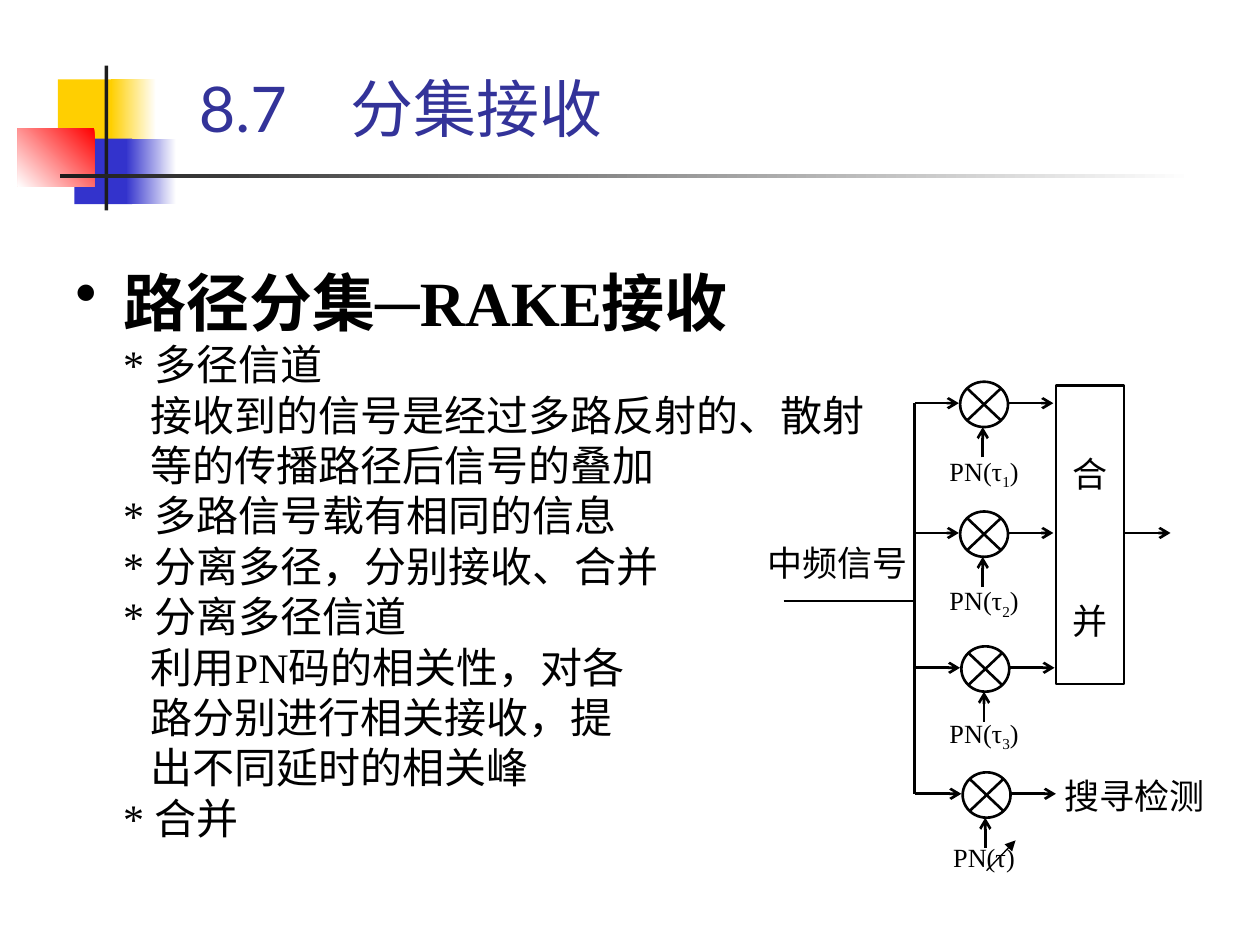
from dataclasses import dataclass

from lxml.etree import SubElement
from pptx import Presentation
from pptx.dml.color import RGBColor
from pptx.enum.shapes import MSO_CONNECTOR, MSO_SHAPE
from pptx.enum.text import MSO_ANCHOR, PP_ALIGN
from pptx.oxml.ns import qn
from pptx.util import Inches, Pt

RECTANGLE = MSO_SHAPE.RECTANGLE
MIXER = MSO_SHAPE.FLOWCHART_SUMMING_JUNCTION
STRAIGHT = MSO_CONNECTOR.STRAIGHT
TOP, BOTTOM = MSO_ANCHOR.TOP, MSO_ANCHOR.BOTTOM
LEFT, CENTER, JUSTIFY = PP_ALIGN.LEFT, PP_ALIGN.CENTER, PP_ALIGN.JUSTIFY


@dataclass(frozen=True)
class Theme:
    black: str = "000000"
    white: str = "FFFFFF"
    charcoal: str = "1C1C1C"
    yellow: str = "FFCF01"
    blue: str = "3333CC"
    red: str = "FF0000"
    title_ink: str = "333399"
    serif: str = "Times New Roman"
    sans: str = "Lato"
    dash: str = "Arial"
    chinese: str = "Noto Sans CJK SC"
    heading: float = 36
    body: float = 24
    label: float = 20
    code: float = 15
    heading_pitch: float = 46
    body_pitch: float = 28.8
    label_pitch: float = 24
    stroke: float = 1.5
    thin: float = 0.75


THEME = Theme()


def write(paragraph, text, font=THEME.serif, size=THEME.body, color=THEME.black,
          bold=False, baseline=0, east_asian=THEME.chinese):
    run = paragraph.add_run()
    run.text = text
    run.font.size = Pt(size)
    run.font.bold = bold
    run.font.color.rgb = RGBColor.from_string(color)
    run.font.name = font
    properties = run.font._element
    SubElement(properties, qn("a:ea"), typeface=east_asian)
    if baseline:
        properties.set("baseline", str(baseline * 1000))


def prepare(frame, insets=(0, 0, 0, 0), anchor=TOP):
    frame.word_wrap = True
    frame.vertical_anchor = anchor
    frame.margin_left, frame.margin_top, frame.margin_right, frame.margin_bottom = map(Inches, insets)
    return frame


def text_area(slide, box, **layout):
    return prepare(slide.shapes.add_textbox(*map(Inches, box)).text_frame, **layout)


def format_paragraph(paragraph, align=LEFT, pitch=None, before=0):
    paragraph.alignment = align
    paragraph.space_before = Pt(before)
    if pitch:
        paragraph.line_spacing = Pt(pitch)
    return paragraph


def indent(paragraph, margin, first=0):
    properties = paragraph._p.get_or_add_pPr()
    properties.set("marL", str(Inches(margin)))
    properties.set("indent", str(Inches(first)))
    return properties


def block(slide, box, color, fade=None, angle=180):
    shape = slide.shapes.add_shape(RECTANGLE, *map(Inches, box))
    shape.shadow.inherit = False
    shape.line.fill.background()
    if fade:
        shape.fill.gradient()
        shape.fill.gradient_angle = angle
        for stop, tone in zip(shape.fill.gradient_stops, (color, fade)):
            stop.color.rgb = RGBColor.from_string(tone)
    else:
        shape.fill.solid()
        shape.fill.fore_color.rgb = RGBColor.from_string(color)


def outline(slide, kind, box):
    shape = slide.shapes.add_shape(kind, *map(Inches, box))
    shape.shadow.inherit = False
    shape.fill.background()
    shape.line.color.rgb = RGBColor.from_string(THEME.black)
    shape.line.width = Pt(THEME.stroke)
    return shape


def wire(slide, start, end, arrow=None, width=THEME.stroke):
    connector = slide.shapes.add_connector(STRAIGHT, *map(Inches, (*start, *end)))
    connector.line.color.rgb = RGBColor.from_string(THEME.black)
    connector.line.width = Pt(width)
    if arrow:
        SubElement(connector.line._get_or_add_ln(), qn("a:tailEnd"), type=arrow)
    SubElement(connector._element.spPr, qn("a:effectLst"))


def draw_ornament(slide, left, top):
    def place(x, y, width, height, *colors, **options):
        block(slide, (left + x, top + y, width, height), *colors, **options)

    place(0.32, 0.11, 0.48, 0.52, THEME.yellow)
    place(0.74, 0.11, 0.36, 0.52, THEME.white, THEME.yellow)
    place(0.45, 0.58, 0.46, 0.52, THEME.blue)
    place(0.86, 0.58, 0.4, 0.52, THEME.white, THEME.blue)
    place(0, 0.5, 0.61, 0.46, THEME.red, THEME.white, angle=225)
    place(0.69, 0, 0.03, 1.15, THEME.charcoal)
    place(0.34, 0.86, 9, 0.03, THEME.white, THEME.charcoal)


def draw_title(slide, box):
    frame = text_area(slide, box, insets=(0.1, 0.05, 0.1, 0), anchor=BOTTOM)
    title = format_paragraph(frame.paragraphs[0], pitch=THEME.heading_pitch)
    tabs = SubElement(title._p.get_or_add_pPr(), qn("a:tabLst"))
    SubElement(tabs, qn("a:tab"), pos=str(Inches(1.2)), algn="l")
    write(title, "8.7\t分集接收", font=THEME.sans, size=THEME.heading, color=THEME.title_ink)


def draw_outline(slide, box):
    frame = text_area(slide, box, insets=(0.1, 0.05, 0.1, 0.05))
    heading = format_paragraph(frame.paragraphs[0], pitch=THEME.heading_pitch)
    properties = indent(heading, 0.38, -0.38)
    SubElement(SubElement(properties, qn("a:buClr")), qn("a:srgbClr"), val=THEME.black)
    SubElement(properties, qn("a:buChar"), char="•")
    for text, font, east_asian in (("路径分集", THEME.chinese, THEME.chinese),
                                   ("─", THEME.dash, THEME.dash),
                                   ("RAKE接收", THEME.serif, THEME.chinese)):
        write(heading, text, font=font, east_asian=east_asian, size=THEME.heading, bold=True)

    points = (
        ("多径信道", "接收到的信号是经过多路反射的、散射", "等的传播路径后信号的叠加"),
        ("多路信号载有相同的信息",),
        ("分离多径，分别接收、合并",),
        ("分离多径信道", "利用PN码的相关性，对各", "路分别进行相关接收，提", "出不同延时的相关峰"),
        ("合并",),
    )
    for point, *details in points:
        for text, margin in ((f"* {point}", 0.38), *((detail, 0.6) for detail in details)):
            paragraph = format_paragraph(frame.add_paragraph(), pitch=THEME.body_pitch)
            indent(paragraph, margin)
            write(paragraph, text)


def draw_label(slide, box, text, align):
    paragraph = format_paragraph(text_area(slide, box).paragraphs[0], align, THEME.label_pitch)
    write(paragraph, text, size=THEME.label)


def draw_branch(slide, bus, left, top, delay, label_top):
    center, level = left + 0.18, top + 0.17
    outline(slide, MIXER, (left, top, 0.38, 0.36))
    wire(slide, (bus, level), (left - 0.01, level), "arrow")
    wire(slide, (center, top + 0.6), (center, top + 0.36), "arrow")
    wire(slide, (left + 0.38, level), (left + 0.74, level), "arrow")
    code = text_area(slide, (bus + 0.17, label_top, 0.76, 0.23)).paragraphs[0]
    format_paragraph(code, CENTER)
    write(code, "PN(τ", size=THEME.code)
    if delay:
        write(code, delay, size=THEME.code, baseline=-25)
    write(code, ")", size=THEME.code)


def draw_combiner(slide, box):
    combiner = outline(slide, RECTANGLE, box)
    frame = prepare(combiner.text_frame, insets=(0, 0.53, 0, 0))
    for position, text in enumerate("合并"):
        paragraph = frame.add_paragraph() if position else frame.paragraphs[0]
        format_paragraph(paragraph, CENTER, THEME.label_pitch, 60 * position)
        write(paragraph, text, size=THEME.label)


def draw_receiver(slide, left, top):
    bus = left + 1.29
    draw_label(slide, (left, top + 1.27, 1.35, 0.32), "中频信号", CENTER)
    draw_label(slide, (left + 2.48, top + 3.12, 1.13, 0.35), "搜寻检测", JUSTIFY)
    draw_combiner(slide, (left + 2.41, top + 0.03, 0.54, 2.37))
    wire(slide, (left + 2.95, top + 1.2), (left + 3.32, top + 1.2), "arrow")
    branches = ((1.65, 0, "1", 0.58), (1.65, 1.03, "2", 1.61),
                (1.66, 2.1, "3", 2.66), (1.67, 3.1, "", 3.65))
    for x, y, delay, label_y in branches:
        draw_branch(slide, bus, left + x, top + y, delay, top + label_y)
    wire(slide, (bus, top + 0.17), (bus, top + 3.27))
    wire(slide, (left + 0.25, top + 1.74), (bus, top + 1.74))
    wire(slide, (left + 1.86, top + 3.88), (left + 2.09, top + 3.64), "triangle", THEME.thin)


def main():
    deck = Presentation()
    deck.slide_width, deck.slide_height = Inches(10), Inches(7.5)
    slide = deck.slides.add_slide(deck.slide_layouts[6])
    draw_ornament(slide, 0.14, 0.52)
    draw_outline(slide, (0.5, 2, 9.5, 4.83))
    draw_title(slide, (1.48, 0.33, 8.52, 0.82))
    draw_receiver(slide, 5.97, 3.03)
    deck.save("out.pptx")


if __name__ == "__main__":
    main()
